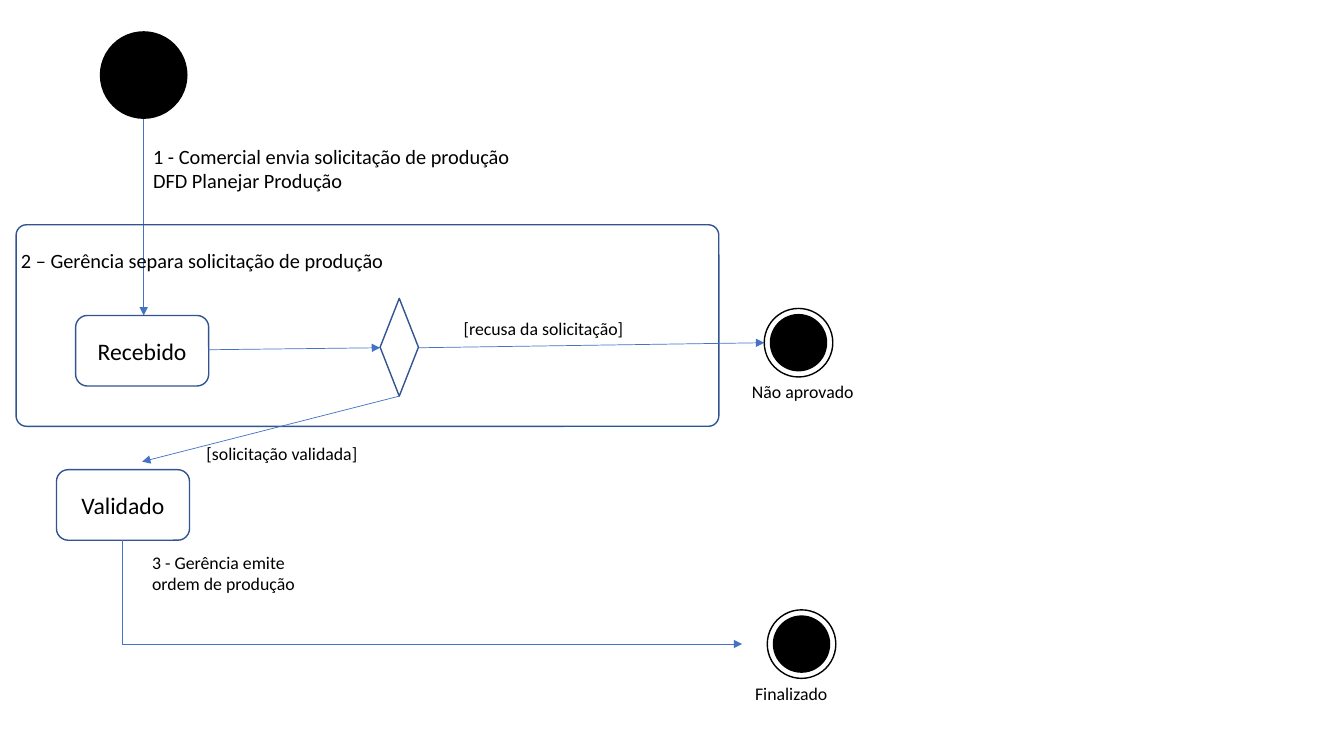
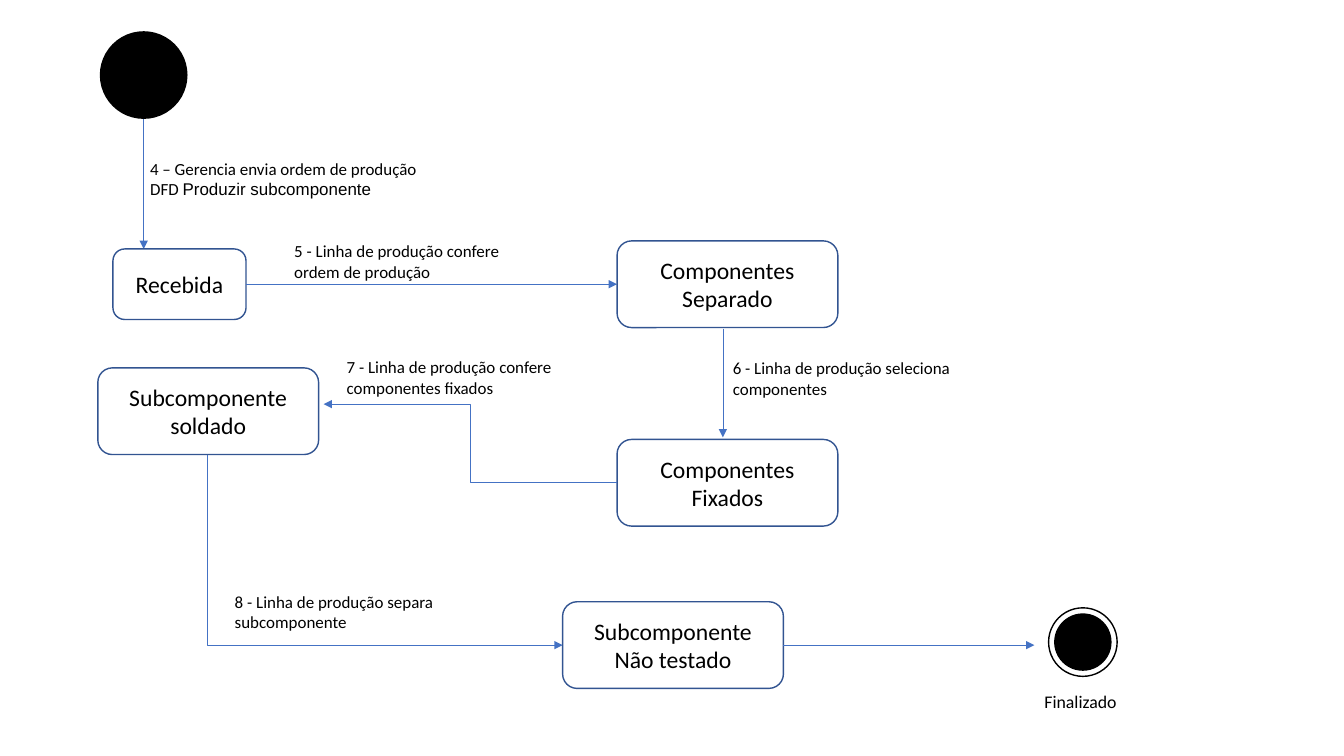
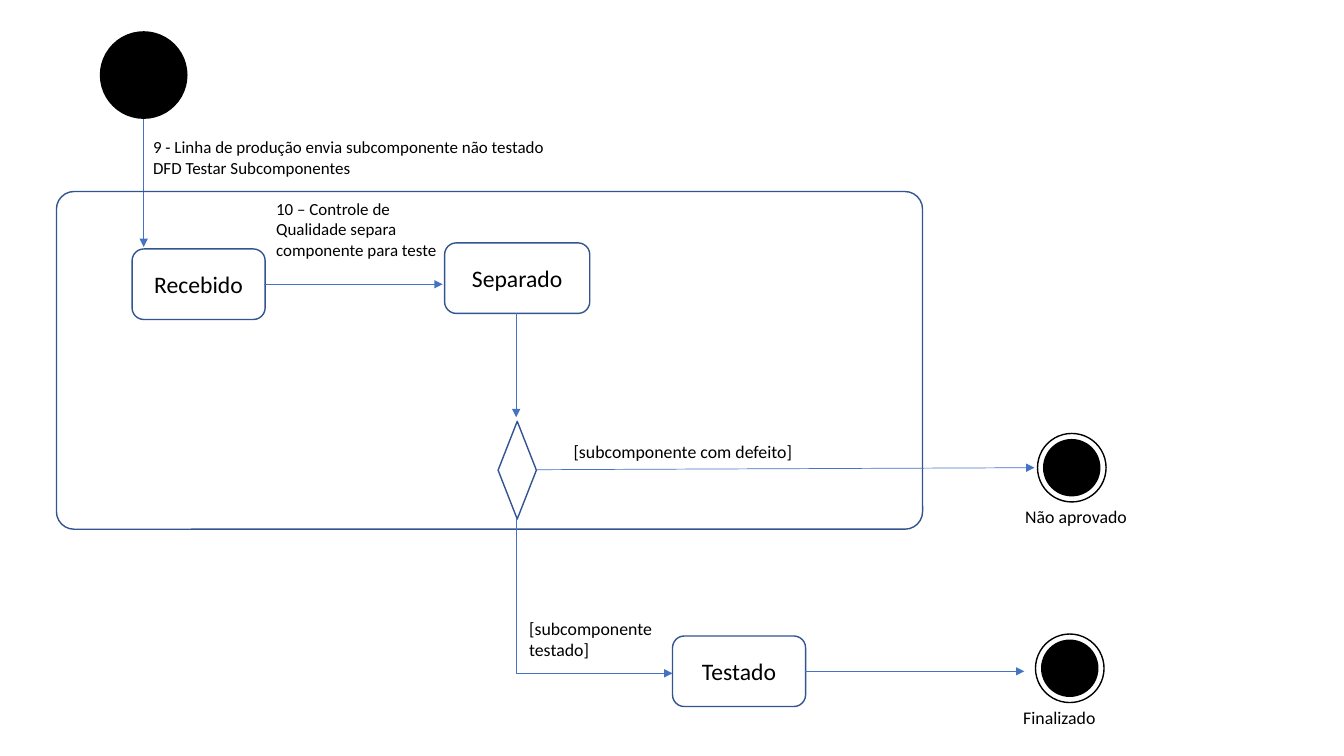
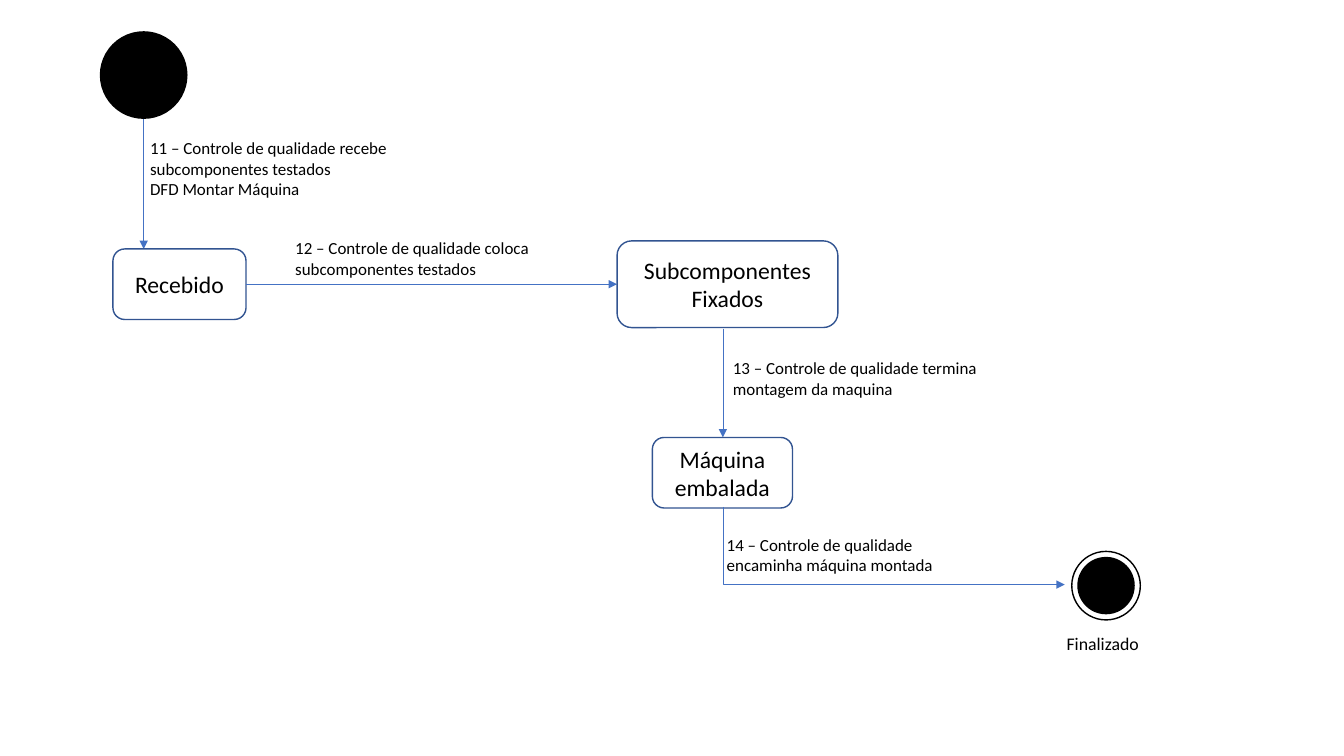
from pptx import Presentation
from pptx import util as u
from pptx.dml.color import RGBColor
from pptx.enum import shapes, text
from pptx.oxml.ns import qn
from lxml import etree

BLACK = "000000"
OUTLINE = "325491"
ARROW = "4472C4"
FONT = "Calibri"
STATE_SIZE, NOTE_SIZE, GUARD_SIZE, HEADING_SIZE = 16.9, 12.1, 12.7, 14.5
SMALL = (1.32, 0.7)
WIDE = (2.19, 0.86)
DECISION = (0.38, 0.97)
START_X, START_Y, START_SIZE = 0.99, 0.31, 0.87
RING_SIZE, DISC_SIZE = 0.68, 0.57
KIND = shapes.MSO_SHAPE


def colour(hex_code):
    return RGBColor.from_string(hex_code)


def style_run(run, size, font=FONT):
    run.font.size = u.Pt(size)
    run.font.name = font
    run.font.color.rgb = colour(BLACK)


def write(frame, words, size):
    frame.word_wrap = True
    frame.text = words
    for paragraph in frame.paragraphs:
        for run in paragraph.runs:
            style_run(run, size)


def figure(slide, kind, x, y, size, fill=None, line=None):
    drawn = slide.shapes.add_shape(kind, *map(u.Inches, (x, y, *size)))
    drawn.shadow.inherit = False
    if fill:
        drawn.fill.solid()
        drawn.fill.fore_color.rgb = colour(fill)
    else:
        drawn.fill.background()
    if line:
        drawn.line.color.rgb = colour(line)
        drawn.line.width = u.Pt(1)
    else:
        drawn.line.fill.background()
    return drawn


def label(slide, x, y, width, height, words, size=NOTE_SIZE):
    caption = slide.shapes.add_textbox(*map(u.Inches, (x, y, width, height)))
    write(caption.text_frame, words, size)
    return caption.text_frame


def state(slide, x, y, words, size=SMALL):
    box = figure(slide, KIND.ROUNDED_RECTANGLE, x, y, size, line=OUTLINE)
    write(box.text_frame, words, STATE_SIZE)
    box.text_frame.vertical_anchor = text.MSO_ANCHOR.MIDDLE
    box.text_frame.paragraphs[0].alignment = text.PP_ALIGN.CENTER


def region(slide, x, y, width, height):
    frame = figure(slide, KIND.ROUNDED_RECTANGLE, x, y, (width, height), line=OUTLINE)
    frame.adjustments[0] = 0.052


def decision(slide, x, y):
    figure(slide, KIND.DIAMOND, x, y, DECISION, line=OUTLINE)


def arrow(slide, x1, y1, x2, y2, kind=shapes.MSO_CONNECTOR.STRAIGHT):
    link = slide.shapes.add_connector(kind, *map(u.Inches, (x1, y1, x2, y2)))
    link.line.color.rgb = colour(ARROW)
    link.line.width = u.Pt(0.5)
    properties = link._element.spPr
    etree.SubElement(properties.find(qn("a:ln")), qn("a:tailEnd"), type="triangle")
    etree.SubElement(properties, qn("a:effectLst"))
    return properties


def arrow_down_right(slide, x1, y1, x2, y2):
    cx, cy = (x1 + x2) / 2, (y1 + y2) / 2
    half_w, half_h = (y2 - y1) / 2, (x2 - x1) / 2
    properties = arrow(slide, cx - half_w, cy - half_h, cx + half_w, cy + half_h,
                       shapes.MSO_CONNECTOR.ELBOW)
    properties.find(qn("a:prstGeom")).set("prst", "bentConnector2")
    turn = properties.find(qn("a:xfrm"))
    turn.set("rot", "16200000")
    turn.set("flipH", "1")


def start(slide, arrow_end):
    figure(slide, KIND.OVAL, START_X, START_Y, (START_SIZE, START_SIZE), fill=BLACK)
    x = START_X + START_SIZE / 2
    arrow(slide, x, START_Y + START_SIZE, x, arrow_end)


def final(slide, x, y, words, shift=(-0.22, 0.67)):
    inset = (RING_SIZE - DISC_SIZE) / 2
    figure(slide, KIND.OVAL, x + inset, y + inset, (DISC_SIZE, DISC_SIZE), fill=BLACK)
    figure(slide, KIND.OVAL, x, y, (RING_SIZE, RING_SIZE), line=BLACK)
    label(slide, x + shift[0], y + shift[1], 1.58, 0.31, words, GUARD_SIZE)


def plan_production(slide):
    start(slide, 3.13)
    label(slide, 1.42, 1.38, 4, 0.59,
          "1 - Comercial envia solicitação de produção\nDFD Planejar Produção", HEADING_SIZE)
    region(slide, 0.16, 2.23, 6.97, 2)
    label(slide, 0.11, 2.41, 4, 0.35,
          "2 – Gerência separa solicitação de produção", HEADING_SIZE)
    state(slide, 0.75, 3.13, "Recebido")
    arrow(slide, 2.07, 3.47, 3.77, 3.45)
    decision(slide, 3.77, 2.96)
    arrow(slide, 4.15, 3.45, 7.58, 3.4)
    label(slide, 4.5, 3.1, 2.24, 0.31, "[recusa da solicitação]", GUARD_SIZE)
    final(slide, 7.58, 3.06, "Não aprovado")
    arrow(slide, 3.96, 3.93, 1.41, 4.58)
    label(slide, 1.95, 4.34, 2.24, 0.31, "[solicitação validada]", GUARD_SIZE)
    state(slide, 0.56, 4.66, "Validado")
    label(slide, 1.41, 5.42, 1.75, 0.53, "3 - Gerência emite ordem de produção", GUARD_SIZE)
    arrow_down_right(slide, 1.21, 5.36, 7.36, 6.39)
    final(slide, 7.61, 6.05, "Finalizado")


def produce_subcomponent(slide):
    start(slide, 2.47)
    order = label(slide, 1.39, 1.52, 3.22, 0.51,
                  "4 – Gerencia envia ordem de produção\nDFD ")
    diagram_name = order.paragraphs[1].add_run()
    diagram_name.text = "Produzir subcomponente"
    style_run(diagram_name, NOTE_SIZE, "Arial")
    state(slide, 1.12, 2.47, "Recebida")
    label(slide, 2.82, 2.34, 2.3, 0.51, "5 - Linha de produção confere ordem de produção")
    arrow(slide, 2.44, 2.82, 6.12, 2.82)
    state(slide, 6.12, 2.39, "Componentes Separado", WIDE)
    arrow(slide, 7.17, 3.26, 7.17, 4.34)
    label(slide, 7.17, 3.5, 2.7, 0.51, "6 - Linha de produção seleciona componentes")
    state(slide, 6.12, 4.36, "Componentes Fixados", WIDE)
    arrow(slide, 6.12, 4.79, 3.21, 4.01, shapes.MSO_CONNECTOR.ELBOW)
    label(slide, 3.34, 3.49, 2.83, 0.51, "7 - Linha de produção confere\ncomponentes fixados")
    state(slide, 0.97, 3.65, "Subcomponente soldado", WIDE)
    arrow_down_right(slide, 2.06, 4.51, 5.58, 6.4)
    label(slide, 2.23, 5.82, 2.83, 0.51, "8 - Linha de produção separa subcomponente")
    state(slide, 5.58, 5.97, "Subcomponente Não testado", WIDE)
    arrow(slide, 7.77, 6.4, 10.26, 6.4)
    final(slide, 10.4, 6.03, "Finalizado", (-0.14, 0.77))


def test_subcomponents(slide):
    start(slide, 2.45)
    label(slide, 1.42, 1.31, 4.3, 0.51,
          "9 - Linha de produção envia subcomponente não testado\nDFD Testar Subcomponentes")
    region(slide, 0.56, 1.9, 8.59, 3.35)
    state(slide, 1.31, 2.47, "Recebido")
    label(slide, 2.64, 1.92, 1.89, 0.71,
          "10 – Controle de Qualidade separa componente para teste")
    arrow(slide, 2.62, 2.82, 4.39, 2.82)
    state(slide, 4.41, 2.41, "Separado", (1.44, 0.7))
    arrow(slide, 5.12, 3.11, 5.12, 4.14)
    decision(slide, 4.94, 4.18)
    arrow(slide, 5.31, 4.66, 10.26, 4.64)
    label(slide, 5.59, 4.32, 2.71, 0.31, "[subcomponente com defeito]", GUARD_SIZE)
    final(slide, 10.29, 4.3, "Não aprovado")
    arrow_down_right(slide, 5.12, 5.14, 6.67, 6.68)
    label(slide, 5.15, 6.08, 1.57, 0.53, "[subcomponente testado]", GUARD_SIZE)
    state(slide, 6.67, 6.31, "Testado")
    arrow(slide, 7.98, 6.66, 10.16, 6.66)
    final(slide, 10.27, 6.29, "Finalizado")


def assemble_machine(slide):
    start(slide, 2.47)
    label(slide, 1.39, 1.32, 3.13, 0.71,
          "11 – Controle de qualidade recebe\nsubcomponentes testados\nDFD Montar Máquina")
    state(slide, 1.12, 2.47, "Recebido")
    label(slide, 2.83, 2.31, 2.9, 0.51,
          "12 – Controle de qualidade coloca subcomponentes testados")
    arrow(slide, 2.44, 2.82, 6.12, 2.82)
    state(slide, 6.12, 2.39, "Subcomponentes Fixados", WIDE)
    arrow(slide, 7.17, 3.26, 7.17, 4.34)
    label(slide, 7.17, 3.5, 2.7, 0.51,
          "13 – Controle de qualidade termina montagem da maquina")
    state(slide, 6.47, 4.34, "Máquina embalada", (1.39, 0.7))
    arrow_down_right(slide, 7.17, 5.03, 10.56, 5.8)
    label(slide, 7.11, 5.25, 2.6, 0.51,
          "14 – Controle de qualidade encaminha máquina montada")
    final(slide, 10.63, 5.47, "Finalizado", (-0.15, 0.76))


def main():
    deck = Presentation()
    deck.slide_width = u.Inches(13.33)
    deck.slide_height = u.Inches(7.5)
    blank = deck.slide_layouts[6]
    for diagram in (plan_production, produce_subcomponent, test_subcomponents, assemble_machine):
        diagram(deck.slides.add_slide(blank))
    deck.save("out.pptx")


if __name__ == "__main__":
    main()
